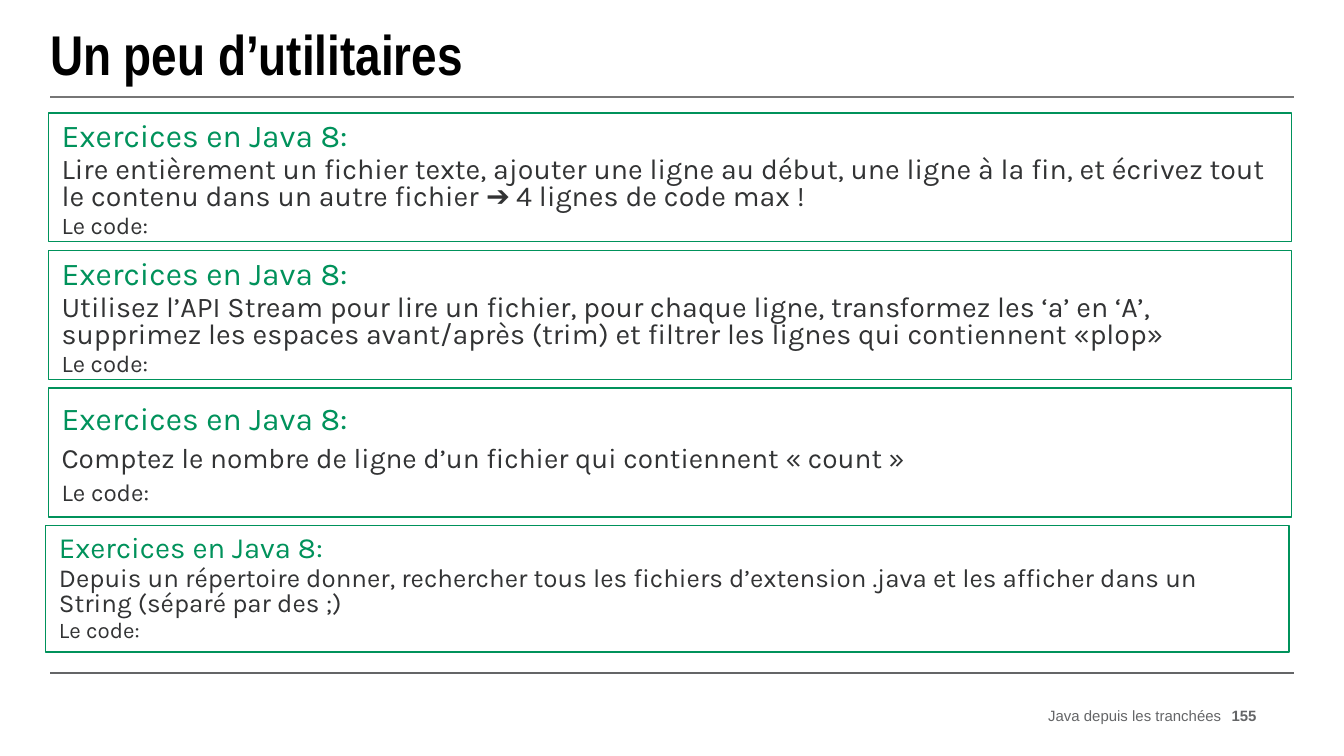
from dataclasses import dataclass

from lxml import etree
from pptx import Presentation
from pptx.dml.color import RGBColor
from pptx.enum.shapes import MSO_CONNECTOR, MSO_SHAPE
from pptx.enum.text import MSO_ANCHOR, PP_ALIGN
from pptx.oxml.ns import qn
from pptx.util import Pt

RECTANGLE = MSO_SHAPE.RECTANGLE
STRAIGHT = MSO_CONNECTOR.STRAIGHT
TOP, MIDDLE = MSO_ANCHOR.TOP, MSO_ANCHOR.MIDDLE
LEFT, RIGHT = PP_ALIGN.LEFT, PP_ALIGN.RIGHT

GREEN = "00925B"
DARK = "323334"
GREY = "646567"
BODY_FONT = "Karla"

BOX_TOP = 60.5
BOX_PITCH = 73.7
BOX_WIDTH = 666


@dataclass
class Exercise:
    task: str
    sizes: tuple[float, float, float] = (17, 15.3, 12.8)
    line_spacing: float = 0.8
    left: float = 25.9
    height: float = 69.1


EXERCISES = [
    Exercise(
        "Lire entièrement un fichier texte, ajouter une ligne au début, une ligne à la fin, "
        "et écrivez tout le contenu dans un autre fichier ➔ 4 lignes de code max !"
    ),
    Exercise(
        "Utilisez l’API Stream pour lire un fichier, pour chaque ligne, transformez les ‘a’ en ‘A’, "
        "supprimez les espaces avant/après (trim) et filtrer les lignes qui contiennent «plop»"
    ),
    Exercise(
        "Comptez le nombre de ligne d’un fichier qui contiennent « count »",
        sizes=(17, 15, 13),
        line_spacing=1.0,
    ),
    Exercise(
        "Depuis un répertoire donner, rechercher tous les fichiers d’extension .java "
        "et les afficher dans un String (séparé par des ;)",
        sizes=(15.7, 13.9, 12),
        left=24.5,
        height=67.7,
    ),
]


def color(value: str) -> RGBColor:
    return RGBColor.from_string(value)


def write(paragraph, text: str, *, size: float, fill: str, font: str = BODY_FONT,
          bold: bool = False, align=LEFT, line_spacing: float = 1.0,
          space_before: float = 0) -> None:
    paragraph.alignment = align
    paragraph.line_spacing = line_spacing
    paragraph.space_before = Pt(space_before)
    run = paragraph.add_run()
    run.text = text
    run.font.name = font
    run.font.size = Pt(size)
    run.font.bold = bold
    run.font.color.rgb = color(fill)


def add_label(slide, text: str, left: float, top: float, width: float, height: float,
              *, wrap: bool = False, **text_format) -> None:
    """Add a one-paragraph text box without margins."""
    box = slide.shapes.add_textbox(Pt(left), Pt(top), Pt(width), Pt(height))
    frame = box.text_frame
    frame.margin_left = frame.margin_right = frame.margin_top = frame.margin_bottom = 0
    frame.vertical_anchor = MIDDLE
    frame.word_wrap = wrap
    write(frame.paragraphs[0], text, **text_format)


def add_rule(slide, top: float, stroke: str) -> None:
    """Draw a horizontal line across the content width."""
    line = slide.shapes.add_connector(STRAIGHT, Pt(26.8), Pt(top), Pt(693.2), Pt(top))
    line.line.color.rgb = color(stroke)
    line.line.width = Pt(1)
    etree.SubElement(line._element.spPr, qn("a:effectLst"))


def add_exercise(slide, exercise: Exercise, top: float) -> None:
    shape = slide.shapes.add_shape(
        RECTANGLE, Pt(exercise.left), Pt(top), Pt(BOX_WIDTH), Pt(exercise.height))
    shape.shadow.inherit = False
    shape.fill.background()
    shape.line.color.rgb = color(GREEN)
    shape.line.width = Pt(0.75)
    frame = shape.text_frame
    frame.word_wrap = True
    frame.vertical_anchor = TOP
    frame.margin_top = Pt(5.6)
    texts = ("Exercices en Java 8:", exercise.task, "Le code:")
    fills = (GREEN, DARK, DARK)
    for index, (text, size, fill) in enumerate(zip(texts, exercise.sizes, fills)):
        paragraph = frame.add_paragraph() if index else frame.paragraphs[0]
        write(paragraph, text, size=size, fill=fill, line_spacing=exercise.line_spacing,
              space_before=2 if index else 0)


def main() -> None:
    presentation = Presentation()
    presentation.slide_width = Pt(720)
    presentation.slide_height = Pt(405)
    slide = presentation.slides.add_slide(presentation.slide_layouts[6])

    add_rule(slide, 360.6, GREY)
    add_rule(slide, 52, "767676")
    add_label(slide, "Un peu d’utilitaires", 26.8, 6.5, 666, 44, wrap=True,
              size=30, fill="000000", font="Arial Narrow", bold=True)
    add_label(slide, "Java depuis les tranchées", 496.1, 378, 158.4, 10.8,
              size=8, fill=GREY, font="Arial", align=RIGHT)
    add_label(slide, "155", 658.8, 378, 14.4, 10.8,
              size=8, fill=GREY, font="Arial", bold=True, align=RIGHT)
    for index, exercise in enumerate(EXERCISES):
        add_exercise(slide, exercise, BOX_TOP + index * BOX_PITCH)

    presentation.save("out.pptx")


if __name__ == "__main__":
    main()
